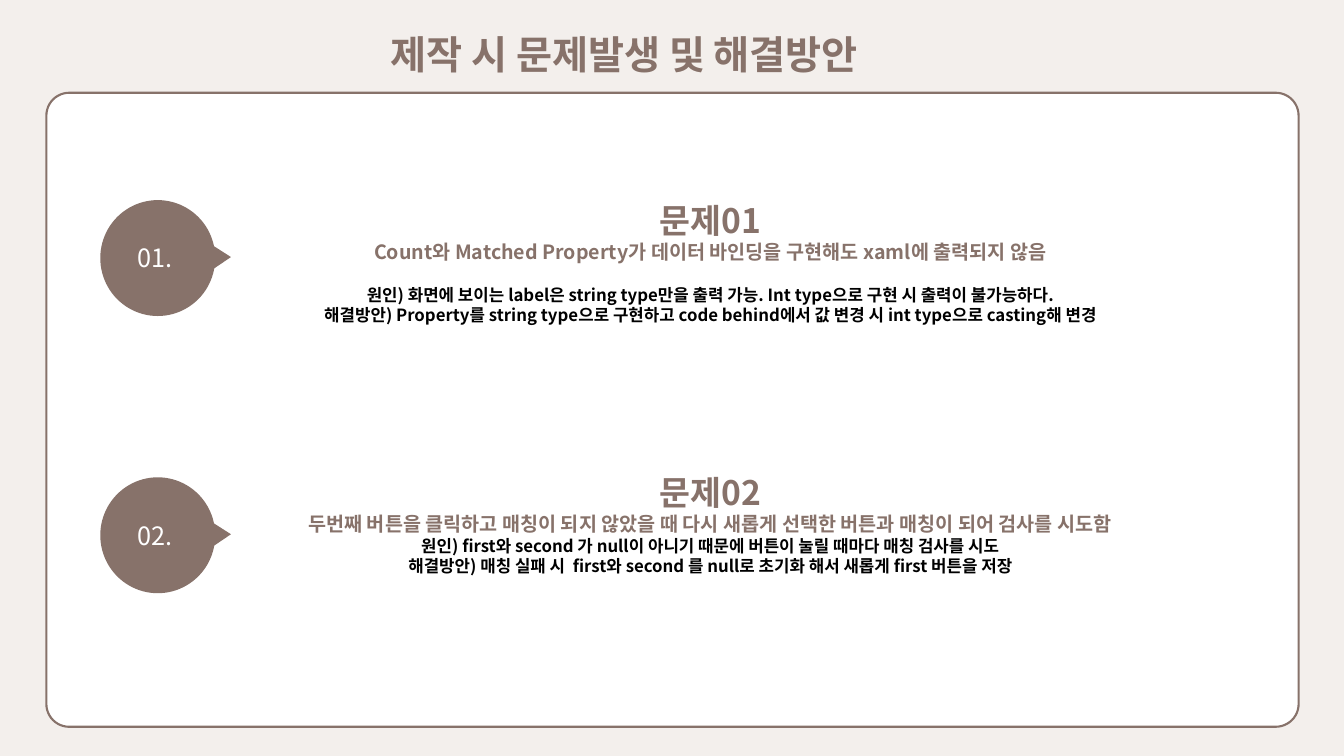
"""Build the slide on problems met during production and their solutions."""
from pptx import Presentation
from pptx.dml.color import RGBColor
from pptx.enum.shapes import MSO_SHAPE as Shape
from pptx.enum.text import MSO_ANCHOR as Anchor, MSO_AUTO_SIZE as AutoSize, PP_ALIGN as Align
from pptx.oxml.ns import qn
from pptx.util import Inches, Pt

TITLE = "제작 시 문제발생 및 해결방안"
PROBLEMS = [
    {"number": "01.", "heading": "문제01", "top": 1.93, "height": 1.35, "gap": 15,
     "summary": "Count와 Matched Property가 데이터 바인딩을 구현해도 xaml에 출력되지 않음",
     "cause": "원인) 화면에 보이는 label은 string type만을 출력 가능. Int type으로 구현 시 출력이 불가능하다.",
     "solution": "해결방안) Property를 string type으로 구현하고 code behind에서 값 변경 시 int type으로 casting해 변경"},
    {"number": "02.", "heading": "문제02", "top": 4.63, "height": 1.14, "gap": 0,
     "summary": "두번째 버튼을 클릭하고 매칭이 되지 않았을 때 다시 새롭게 선택한 버튼과 매칭이 되어 검사를 시도함",
     "cause": "원인) first와 second 가 null이 아니기 때문에 버튼이 눌릴 때마다 매칭 검사를 시도",
     "solution": "해결방안) 매칭 실패 시  first와 second 를 null로 초기화 해서 새롭게 first 버튼을 저장"},
]
BROWN, WHITE, BLACK, CREAM = "87726A", "FFFFFF", "000000", "F3EFEC"
BODY_FONT, TITLE_FONT = "Noto Sans CJK KR", "Arial"
FIRST_BUBBLE, BUBBLE_STEP = 1.99, 2.75


def color(value):
    """Turn a hex string into a colour."""
    return RGBColor.from_string(value)


def place(left, top, width, height):
    """Turn four lengths in inches into slide units."""
    return [Inches(length) for length in (left, top, width, height)]


def write(para, text, size=12, ink=BROWN, bold=True, font=BODY_FONT, align=Align.CENTER, before=0):
    """Write one formatted paragraph."""
    para.alignment = align
    para.space_before = Pt(before)
    span = para.add_run()
    span.text = text
    span.font.size, span.font.bold, span.font.name = Pt(size), bold, font
    span.font.color.rgb = color(ink)
    east_asian = span.font._element.makeelement(qn("a:ea"), {"typeface": BODY_FONT})
    span.font._element.find(qn("a:latin")).addnext(east_asian)


def add_shape(shapes, kind, area, adjustments, fill, line=None):
    """Add a flat filled shape, outlined if a line colour is given."""
    shape = shapes.add_shape(kind, *place(*area))
    shape.shadow.inherit = False
    for index, value in enumerate(adjustments):
        shape.adjustments[index] = value
    shape.fill.solid()
    shape.fill.fore_color.rgb = color(fill)
    if line:
        shape.line.color.rgb = color(line)
        shape.line.width = Pt(1.5)
    else:
        shape.line.fill.background()
    return shape


def add_text(shapes, area, lines):
    """Add a wrapping text box from (text, format) pairs."""
    frame = shapes.add_textbox(*place(*area)).text_frame
    frame.word_wrap = True
    for index, (text, style) in enumerate(lines):
        write(frame.add_paragraph() if index else frame.paragraphs[0], text, **style)


def add_problem(slide, index, problem):
    """Add the numbered bubble and the text of one problem."""
    top = FIRST_BUBBLE + index * BUBBLE_STEP
    group = slide.shapes.add_group_shape()
    bubble = add_shape(group.shapes, Shape.OVAL_CALLOUT, (0.99, top, 1.15, 1.14), (0.009, 0.637), BROWN)
    bubble.rotation = 270
    add_text(group.shapes, (1.27, top + 0.37, 0.58, 0.4),
             [(problem["number"], {"size": 18, "ink": WHITE, "bold": False, "align": Align.LEFT})])
    add_text(slide.shapes, (2.4, problem["top"], 9.29, problem["height"]), [
        (problem["heading"], {"size": 24}),
        (problem["summary"], {"size": 14}),
        (problem["cause"], {"ink": BLACK, "before": problem["gap"]}),
        (problem["solution"], {"ink": BLACK}),
    ])


def main():
    """Build and save the deck."""
    deck = Presentation()
    deck.slide_width, deck.slide_height = Inches(13.33), Inches(7.5)
    slide = deck.slides.add_slide(deck.slide_layouts[5])
    slide.background.fill.solid()
    slide.background.fill.fore_color.rgb = color(CREAM)

    title = slide.shapes.title
    title.left, title.top, title.width, title.height = place(3.77, 0.25, 5.45, 0.57)
    frame = title.text_frame
    frame.auto_size, frame.vertical_anchor = AutoSize.NONE, Anchor.TOP
    write(frame.paragraphs[0], TITLE, size=28, font=TITLE_FONT, align=Align.LEFT)

    add_shape(slide.shapes, Shape.ROUNDED_RECTANGLE, (0.46, 0.92, 12.42, 6.29), (0.036,), WHITE, BROWN)
    for index, problem in enumerate(PROBLEMS):
        add_problem(slide, index, problem)
    deck.save("out.pptx")


if __name__ == "__main__":
    main()
